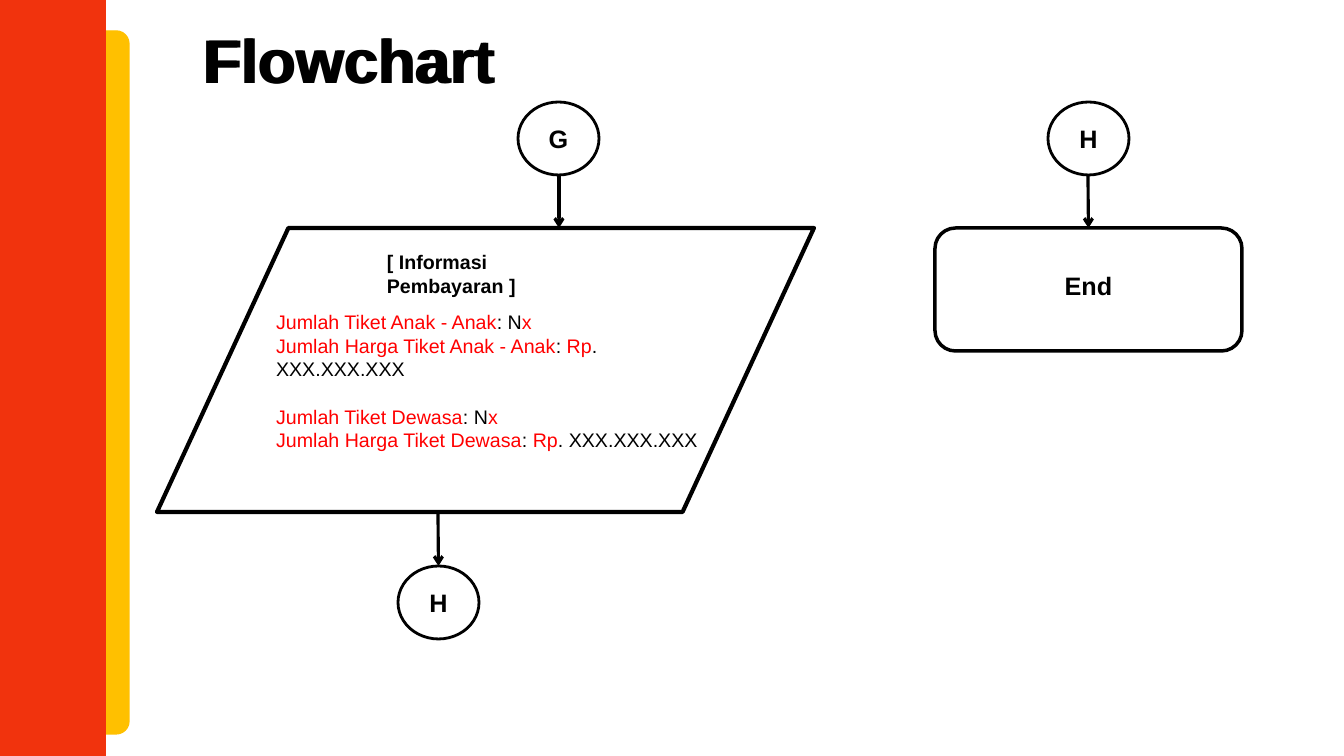
import dataclasses
import lxml.etree
import pptx
import pptx.dml.color
import pptx.enum.shapes
import pptx.enum.text
import pptx.oxml.ns
import pptx.util

KIND = pptx.enum.shapes.MSO_SHAPE
ALIGN = pptx.enum.text.PP_ALIGN
ANCHOR = pptx.enum.text.MSO_ANCHOR
SCALE = 12192000 / 1344


@dataclasses.dataclass
class Theme:
    font: str = "Arial"
    ink: str = "000000"
    paper: str = "FFFFFF"
    amber: str = "FFC000"
    orange: str = "F1330D"
    red: str = "FF0000"
    title: int = 44
    label: int = 18
    text: int = 14


def px(size):
    return round(size * SCALE)


def color(code):
    return pptx.dml.color.RGBColor.from_string(code)


def sub(parent, tag, **attrs):
    return lxml.etree.SubElement(parent, pptx.oxml.ns.qn(tag), attrs)


class Board:
    def __init__(self, slide, theme):
        self.slide = slide
        self.theme = theme

    def style(self, para, size, bold=False):
        para.font.name = self.theme.font
        para.font.size = pptx.util.Pt(size)
        para.font.bold = bold
        para.font.color.rgb = color(self.theme.ink)

    def shape(self, kind, box, fill, line, weight):
        shape = self.slide.shapes.add_shape(kind, *map(px, box))
        shape.shadow.inherit = False
        shape.fill.solid()
        shape.fill.fore_color.rgb = color(fill)
        shape.line.color.rgb = color(line)
        shape.line.width = pptx.util.Pt(weight)
        return shape

    def node(self, kind, box, weight, text="", lift=0):
        node = self.shape(kind, box, self.theme.paper, self.theme.ink, weight)
        if text:
            frame = node.text_frame
            frame.margin_left = frame.margin_right = frame.margin_top = 0
            frame.margin_bottom = px(lift)
            frame.vertical_anchor = ANCHOR.MIDDLE
            para = frame.paragraphs[0]
            para.text = text
            para.alignment = ALIGN.CENTER
            self.style(para, self.theme.label, True)
        return node

    def circle(self, left, top, text):
        return self.node(KIND.OVAL, (left, top, 81, 73), 2, text)

    def arrow(self, x, top, foot, goal=None):
        kind = pptx.enum.shapes.MSO_CONNECTOR.STRAIGHT
        arrow = self.slide.shapes.add_connector(kind, px(x), px(top), px(x), px(foot))
        if goal is not None:
            arrow.end_connect(goal, 0)
        arrow.line.color.rgb = color(self.theme.ink)
        arrow.line.width = pptx.util.Pt(2.25)
        sub(arrow.line._get_or_add_ln(), "a:tailEnd", type="arrow")
        sub(arrow.element.spPr, "a:effectLst")

    def place(self, shape, box):
        shape.left, shape.top, shape.width, shape.height = map(px, box)
        frame = shape.text_frame
        frame.word_wrap = True
        frame.auto_size = pptx.enum.text.MSO_AUTO_SIZE.NONE
        frame.vertical_anchor = ANCHOR.TOP
        return frame

    def text(self, box, text, size, holder=None):
        shape = holder or self.slide.shapes.add_textbox(0, 0, 0, 0)
        para = self.place(shape, box).paragraphs[0]
        para.text = text
        para.alignment = ALIGN.LEFT
        self.style(para, size, True)

    def rows(self, holder, box, rows):
        holder.element.getparent().append(holder.element)
        frame = self.place(holder, box)
        for i, (gap, runs) in enumerate(rows):
            para = frame.paragraphs[0] if i == 0 else frame.add_paragraph()
            props = para._p.get_or_add_pPr()
            props.set("marL", "0")
            props.set("indent", "0")
            para.space_before = pptx.util.Pt(gap)
            sub(props, "a:buNone")
            self.style(para, self.theme.text)
            for j, words in enumerate(runs):
                run = para.add_run()
                run.text = words
                tone = self.theme.ink if j % 2 else self.theme.red
                run.font.color.rgb = color(tone)


def main():
    deck = pptx.Presentation()
    deck.slide_width = px(1344)
    deck.slide_height = px(756)
    slide = deck.slides.add_slide(deck.slide_layouts[1])
    title, body = slide.placeholders
    theme = Theme()
    board = Board(slide, theme)

    strip = board.shape(KIND.ROUNDED_RECTANGLE, (54, 31, 75, 703), theme.amber, theme.amber, 1)
    strip.adjustments[0] = 0.17
    board.shape(KIND.RECTANGLE, (0, 0, 105, 756), theme.orange, theme.orange, 1)
    for left, holder in ((193, None), (195, title)):
        board.text((left, 17, 340, 85), "Flowchart", theme.title, holder)

    board.circle(518, 102, "G")
    board.node(KIND.FLOWCHART_DATA, (157, 228, 657, 284), 3)
    board.arrow(559, 175, 228)
    board.text((377, 245, 240, 58), "[ Informasi Pembayaran ]", theme.text)
    rows = []
    for gap, group in ((0, "Anak - Anak"), (17, "Dewasa")):
        rows.append((gap, (f"Jumlah Tiket {group}", ": N", "x")))
        rows.append((0, (f"Jumlah Harga Tiket {group}", ": ", "Rp", ". XXX.XXX.XXX")))
    board.rows(body, (266, 305, 460, 152), rows)

    last = board.circle(398, 566, "H")
    board.arrow(438, 513, 566, last)

    board.circle(1048, 102, "H")
    end = board.node(KIND.FLOWCHART_ALTERNATE_PROCESS, (935, 228, 307, 123), 2.5, "End", 9)
    board.arrow(1088, 175, 228, end)

    deck.save("out.pptx")


if __name__ == "__main__":
    main()
